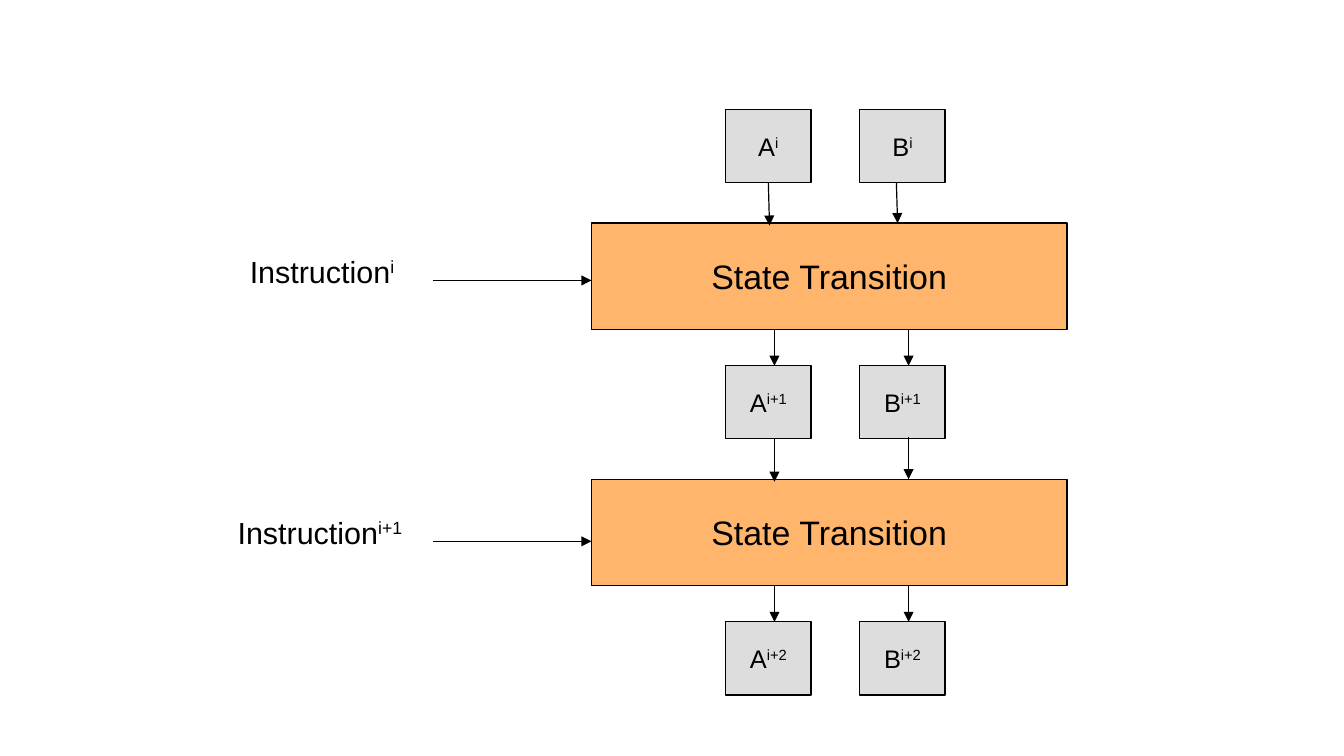
import pptx
import pptx.dml.color
import pptx.enum.shapes
import pptx.enum.text
import pptx.oxml
import pptx.oxml.ns
import pptx.util

PX = 9144  # 100 px to the inch
STAGE_PITCH = 210
REGISTER_WIDTH, REGISTER_HEIGHT = 70, 60
REGISTER_OFFSETS = {"A": 110, "B": 220}
TRANSITION_TOP, TRANSITION_WIDTH, TRANSITION_HEIGHT = 93, 390, 87
TRANSITION_BOTTOM = TRANSITION_TOP + TRANSITION_HEIGHT
LABEL_WIDTH, LABEL_HEIGHT = 180, 73
ARROW_LENGTH = 130
BLACK, GREY, ORANGE = "000000", "DDDDDD", "FFB66C"
LINE_WIDTH = pptx.util.Pt(0.71)


def px(*lengths):
    return [pptx.util.Emu(length * PX) for length in lengths]


def color(hex_code):
    return pptx.dml.color.RGBColor.from_string(hex_code)


def write(box, text, size, align, superscript=""):
    frame = box.text_frame
    frame.word_wrap = True
    frame.vertical_anchor = pptx.enum.text.MSO_ANCHOR.MIDDLE
    frame.margin_left, frame.margin_right, frame.margin_top, frame.margin_bottom = px(10, 10, 5, 5)
    para = frame.paragraphs[0]
    para.alignment = align
    for words, baseline in ((text, None), (superscript, "33000")):
        if words:
            span = para.add_run()
            span.text = words
            span.font.name = "Arial"
            span.font.size = pptx.util.Pt(size)
            span.font.color.rgb = color(BLACK)
            if baseline:
                span.font._element.set("baseline", baseline)


def add_block(page, left, top, width, height, fill, text, size, superscript=""):
    block = page.shapes.add_shape(
        pptx.enum.shapes.MSO_SHAPE.RECTANGLE, *px(left, top, width, height))
    block.shadow.inherit = False
    block.fill.solid()
    block.fill.fore_color.rgb = color(fill)
    block.line.color.rgb = color(BLACK)
    block.line.width = LINE_WIDTH
    write(block, text, size, pptx.enum.text.PP_ALIGN.CENTER, superscript)
    return block


def add_arrow(page, *ends):
    arrow = page.shapes.add_connector(
        pptx.enum.shapes.MSO_CONNECTOR.STRAIGHT, *px(*ends))
    arrow.line.color.rgb = color(BLACK)
    arrow.line.width = LINE_WIDTH
    head = pptx.oxml.parse_xml(
        f'<a:tailEnd {pptx.oxml.ns.nsdecls("a")} type="triangle"/>')
    arrow.line._get_or_add_ln().append(head)
    effects = pptx.oxml.parse_xml(f'<a:effectLst {pptx.oxml.ns.nsdecls("a")}/>')
    arrow._element.spPr.append(effects)
    return arrow


def add_registers(page, left, top, index):
    return [
        add_block(page, left + offset, top, REGISTER_WIDTH, REGISTER_HEIGHT,
                  GREY, name, 15, index)
        for name, offset in REGISTER_OFFSETS.items()
    ]


def add_instruction(page, left, top, arrow_left, arrow_y, index):
    label = page.shapes.add_textbox(*px(left, top, LABEL_WIDTH, LABEL_HEIGHT))
    write(label, "Instruction", 18, pptx.enum.text.PP_ALIGN.LEFT, index)
    add_arrow(page, arrow_left, arrow_y, arrow_left + ARROW_LENGTH, arrow_y)


def add_stage(page, left, top, index, inputs):
    """Registers, the transition below them and the arrows in and out."""
    registers = add_registers(page, left, top, index)
    add_block(page, left, top + TRANSITION_TOP, TRANSITION_WIDTH,
              TRANSITION_HEIGHT, ORANGE, "State Transition", 20)
    arrows = [
        add_arrow(page, left + x1, top + y1, left + x2, top + y2)
        for x1, y1, x2, y2 in inputs
    ]
    for offset in REGISTER_OFFSETS.values():
        x = left + offset + 40
        add_arrow(page, x, top + TRANSITION_BOTTOM, x, top + STAGE_PITCH)
    return registers, arrows


def main():
    deck = pptx.Presentation()
    deck.slide_width, deck.slide_height = px(1102, 620)
    page = deck.slides.add_slide(deck.slide_layouts[6])
    left, top = 485, 90

    # Two stages, with the arrows entering each transition
    registers, arrows = add_stage(
        page, left, top, "i", [(146, 60, 146, 95), (250, 60, 251, 93)])
    arrows[0].begin_connect(registers[0], 2)
    add_stage(page, left, top + STAGE_PITCH, "i+1",
              [(150, 60, 150, 95), (260, 58, 260, 93)])

    # Final state
    add_registers(page, left, top + 2 * STAGE_PITCH, "i+2")

    # Instructions
    add_instruction(page, 195, 186, left - ARROW_LENGTH, 230, "i")
    add_instruction(page, 185, 400, left - ARROW_LENGTH, 444, "i+1")

    deck.save("out.pptx")


if __name__ == "__main__":
    main()
